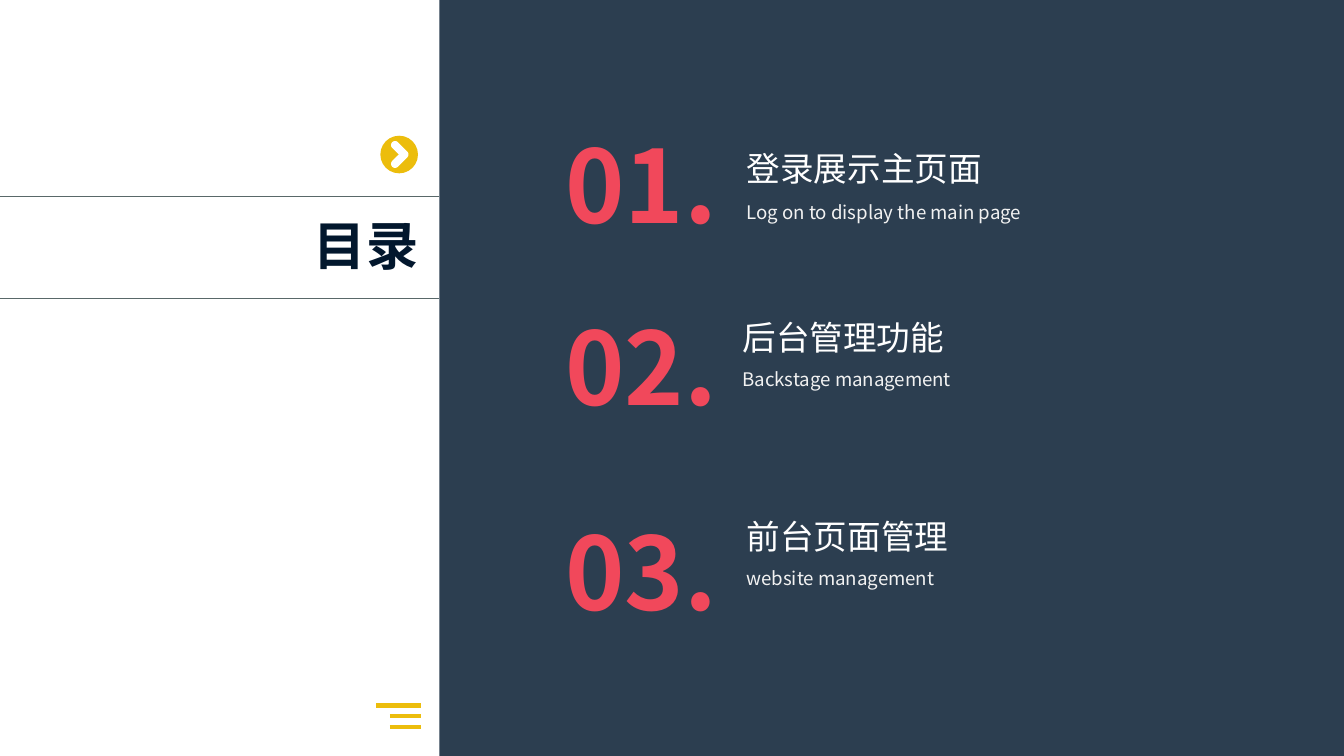
import math

import pptx
import pptx.util
import pptx.dml.color
import pptx.enum.shapes
import pptx.enum.text
import pptx.oxml
import pptx.oxml.ns

WIDTH = 10
HEIGHT = WIDTH * 9 / 16
FONT = "Noto Sans CJK SC"
NAVY, WHITE, GOLD, RED = "2C3E50", "FFFFFF", "ECBD0C", "F1485B"
INK, GREY, PALE = "02172D", "596869", "F2F2F2"

# Content: number, number top, heading, subtitle, text left, heading top, subtitle top
TITLE = "目录"
ENTRIES = [
    ("01.", 1.11, "登录展示主页面", "Log on to display the main page", 5.48, 1.06, 1.46),
    ("02.", 2.47, "后台管理功能", "Backstage management", 5.45, 2.32, 2.70),
    ("03.", 3.99, "前台页面管理", "website management", 5.48, 3.80, 4.18),
]

# Layout in inches, text insets in points
PANEL_LEFT = 3.27
NUMBER_LEFT, NUMBER_WIDTH = 4.13, 1.35
RULE_TOPS = (1.46, 2.22)
MENU_RIGHT, MENU_TOP, MENU_STEP = 3.13, 5.25, 0.08
MENU_LEFTS = (2.8, 2.9, 2.9)
WIDE_INSET, SLIM_INSET = (7.2, 3.6), (5.4, 2.7)

MIDDLE = pptx.enum.text.MSO_ANCHOR.MIDDLE
TOP = pptx.enum.text.MSO_ANCHOR.TOP
LEFT = pptx.enum.text.PP_ALIGN.LEFT
RIGHT = pptx.enum.text.PP_ALIGN.RIGHT
SHAPES = pptx.enum.shapes.MSO_SHAPE
inches = pptx.util.Inches


def colour(value):
    return pptx.dml.color.RGBColor.from_string(value)


def paint(shape, fill):
    shape.shadow.inherit = False
    shape.fill.solid()
    shape.fill.fore_color.rgb = colour(fill)
    shape.line.fill.background()


def add_block(page, kind, left, top, width, height, fill):
    paint(page.shapes.add_shape(kind, *map(inches, (left, top, width, height))), fill)


def add_line(page, left, right, top, stroke, points):
    line = page.shapes.add_connector(
        pptx.enum.shapes.MSO_CONNECTOR.STRAIGHT,
        inches(left), inches(top), inches(right), inches(top))
    line.line.color.rgb = colour(stroke)
    line.line.width = pptx.util.Pt(points)
    line._element.spPr.append(pptx.oxml.parse_xml(
        f"<a:effectLst {pptx.oxml.ns.nsdecls('a')}/>"))


def add_text(page, text, left, top, width, height, size, ink, bold=False,
             anchor=MIDDLE, align=LEFT, inset=SLIM_INSET, before=0):
    box = page.shapes.add_textbox(*map(inches, (left, top, width, height)))
    frame = box.text_frame
    frame.word_wrap = True
    frame.vertical_anchor = anchor
    frame.margin_left = frame.margin_right = pptx.util.Pt(inset[0])
    frame.margin_top = frame.margin_bottom = pptx.util.Pt(inset[1])
    para = frame.paragraphs[0]
    para.alignment = align
    para.space_before = pptx.util.Pt(before)
    span = para.add_run()
    span.text = text
    span.font.name = FONT
    span.font.size = pptx.util.Pt(size)
    span.font.bold = bold
    span.font.color.rgb = colour(ink)
    span._r.get_or_add_rPr().append(pptx.oxml.parse_xml(
        f"<a:ea {pptx.oxml.ns.nsdecls('a')} typeface='{FONT}'/>"))


def add_chevron(page, tip_x, tip_y, arm, radius, fill):
    """Draw a right-pointing chevron with rounded ends and tip."""
    def arc(x, y, start, end):
        return [(x + radius * math.cos(math.radians(a)),
                 y + radius * math.sin(math.radians(a)))
                for a in range(start, end + 1, 15)]

    outline = (arc(tip_x - arm, tip_y - arm, 135, 315)
               + arc(tip_x, tip_y, -45, 45)
               + arc(tip_x - arm, tip_y + arm, 45, 225)
               + [(tip_x - radius * math.sqrt(2), tip_y)])
    # Freeform points are whole numbers, so they are given in EMU
    points = [(inches(x), inches(y)) for x, y in outline]
    builder = page.shapes.build_freeform(*points[0])
    builder.add_line_segments(points[1:], close=True)
    paint(builder.convert_to_shape(), fill)


deck = pptx.Presentation()
deck.slide_width, deck.slide_height = inches(WIDTH), inches(HEIGHT)
page = deck.slides.add_slide(deck.slide_layouts[6])

# Dark panel
add_block(page, SHAPES.RECTANGLE, PANEL_LEFT, 0, WIDTH - PANEL_LEFT, HEIGHT, NAVY)

# Title between two rules
add_text(page, TITLE, 0.67, 1.53, 2.54, 0.58, 28, INK, bold=True,
         align=RIGHT, inset=WIDE_INSET)
for top in RULE_TOPS:
    add_line(page, 0, PANEL_LEFT, top, GREY, 0.75)

# Arrow badge
add_block(page, SHAPES.OVAL, 2.83, 1.01, 0.28, 0.28, GOLD)
add_chevron(page, 3.01, 1.15, 0.07, 0.03, WHITE)

# Menu icon
for row, left in enumerate(MENU_LEFTS):
    add_line(page, left, MENU_RIGHT, MENU_TOP + row * MENU_STEP, GOLD, 2.25)

# Contents entries
for number, number_top, heading, subtitle, left, heading_top, subtitle_top in ENTRIES:
    add_text(page, number, NUMBER_LEFT, number_top, NUMBER_WIDTH, 0.5, 54, RED, bold=True)
    add_text(page, heading, left, heading_top, 3.81, 0.38, 18, WHITE)
    add_text(page, subtitle, left, subtitle_top, 4.09, 0.24, 10, PALE,
             anchor=TOP, before=2)

deck.save("out.pptx")
